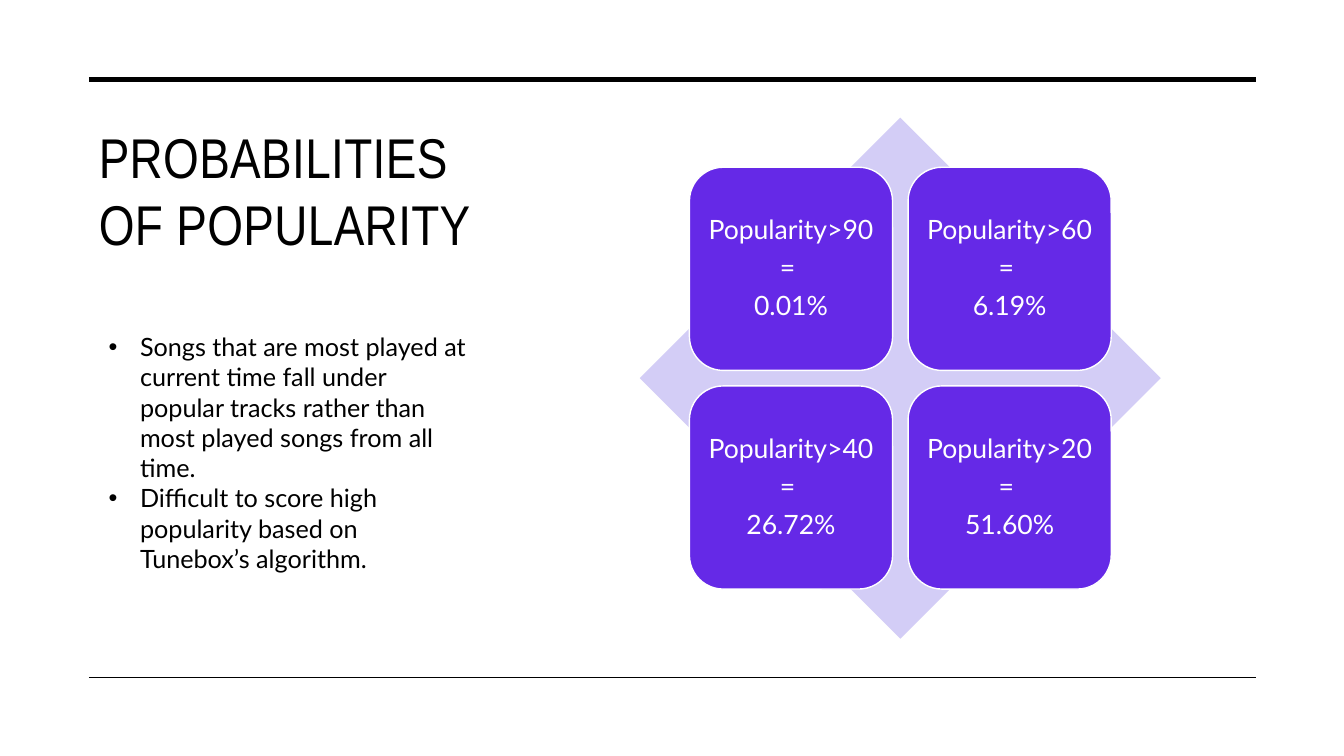
from lxml import etree
from pptx import Presentation
from pptx import util as u
from pptx.dml.color import RGBColor
from pptx.enum import shapes, text
from pptx.oxml.ns import qn

BLACK = RGBColor(0x00, 0x00, 0x00)
WHITE = RGBColor(0xFF, 0xFF, 0xFF)
PURPLE = RGBColor(0x65, 0x29, 0xE7)
LILAC = RGBColor(0xD3, 0xCD, 0xF6)


def write(tf, paragraphs, size, font="Lato", color=BLACK, align=text.PP_ALIGN.LEFT,
          line=None, after=None, bullet=None, indent=0, spacing=None):
    """Fill a text frame with one formatted paragraph per string."""
    tf.word_wrap = True
    for i, words in enumerate(paragraphs):
        p = tf.paragraphs[0] if i == 0 else tf.add_paragraph()
        p.alignment = align
        if line:
            p.line_spacing = line
        if after:
            p.space_after = u.Pt(after)
        if bullet:
            pPr = p._p.get_or_add_pPr()
            pPr.set("marL", str(u.Cm(indent)))
            pPr.set("indent", str(-u.Cm(indent)))
            etree.SubElement(pPr, qn("a:buFont")).set("typeface", "Arial")
            etree.SubElement(pPr, qn("a:buChar")).set("char", bullet)
        r = p.add_run()
        r.text = words
        r.font.name, r.font.size = font, u.Pt(size)
        r.font.color.rgb = color
        if spacing:
            r._r.get_or_add_rPr().set("spc", str(spacing))


class Deck:
    def __init__(self, prs):
        self.s = prs.slides.add_slide(prs.slide_layouts[6])

    def rule(self, x1, x2, y, weight):
        c = self.s.shapes.add_connector(shapes.MSO_CONNECTOR.STRAIGHT,
                                        u.Cm(x1), u.Cm(y), u.Cm(x2), u.Cm(y))
        c.line.color.rgb, c.line.width = BLACK, u.Pt(weight)
        etree.SubElement(c._element.spPr, qn("a:effectLst"))

    def box(self, x, y, w, h, paragraphs, **style):
        sp = self.s.shapes.add_textbox(u.Cm(x), u.Cm(y), u.Cm(w), u.Cm(h))
        write(sp.text_frame, paragraphs, **style)

    def shape(self, kind, cx, cy, side, fill, outline=None):
        """Add a square shape centred on (cx, cy)."""
        sp = self.s.shapes.add_shape(kind, u.Cm(cx - side / 2), u.Cm(cy - side / 2),
                                     u.Cm(side), u.Cm(side))
        sp.shadow.inherit = False
        sp.fill.solid()
        sp.fill.fore_color.rgb = fill
        if outline is None:
            sp.line.fill.background()
        else:
            sp.line.color.rgb, sp.line.width = outline, u.Pt(1)
        return sp

    def tile(self, cx, cy, side, paragraphs):
        sp = self.shape(shapes.MSO_SHAPE.ROUNDED_RECTANGLE, cx, cy, side, PURPLE, WHITE)
        tf = sp.text_frame
        tf.margin_left = tf.margin_right = tf.margin_top = tf.margin_bottom = u.Cm(0.2)
        tf.vertical_anchor = text.MSO_ANCHOR.MIDDLE
        write(tf, paragraphs, size=19, color=WHITE, align=text.PP_ALIGN.CENTER,
              line=0.9, after=6.65)


def main():
    prs = Presentation()
    prs.slide_width, prs.slide_height = u.Cm(33.87), u.Cm(19.05)
    deck = Deck(prs)

    # Title between the two rules
    deck.box(2.24, 2.97, 10.16, 3.91, ["PROBABILITIES OF POPULARITY"],
             size=40, font="Arial Narrow", spacing=30)
    deck.rule(2.24, 31.65, 2.01, 3.5)
    deck.rule(2.24, 31.65, 17.07, 1)

    # Diamond with a two by two matrix of probabilities
    cx, cy, side, pitch = 22.69, 9.53, 5.12, 5.51
    deck.shape(shapes.MSO_SHAPE.DIAMOND, cx, cy, 13.13, LILAC)
    chances = [(90, "0.01%"), (60, "6.19%"), (40, "26.72%"), (20, "51.60%")]
    for i, (score, chance) in enumerate(chances):
        row, col = divmod(i, 2)
        deck.tile(cx + (col - 0.5) * pitch, cy + (row - 0.5) * pitch, side,
                  [f"Popularity>{score} ", "= ", chance])

    # Findings
    deck.box(2.49, 8.23, 9.55, 5.64, [
        "Songs that are most played at current time fall under popular tracks "
        "rather than most played songs from all time.",
        "Difficult to score high popularity based on Tunebox’s algorithm.",
    ], size=18, bullet="•", indent=0.79)

    prs.save("out.pptx")


if __name__ == "__main__":
    main()
